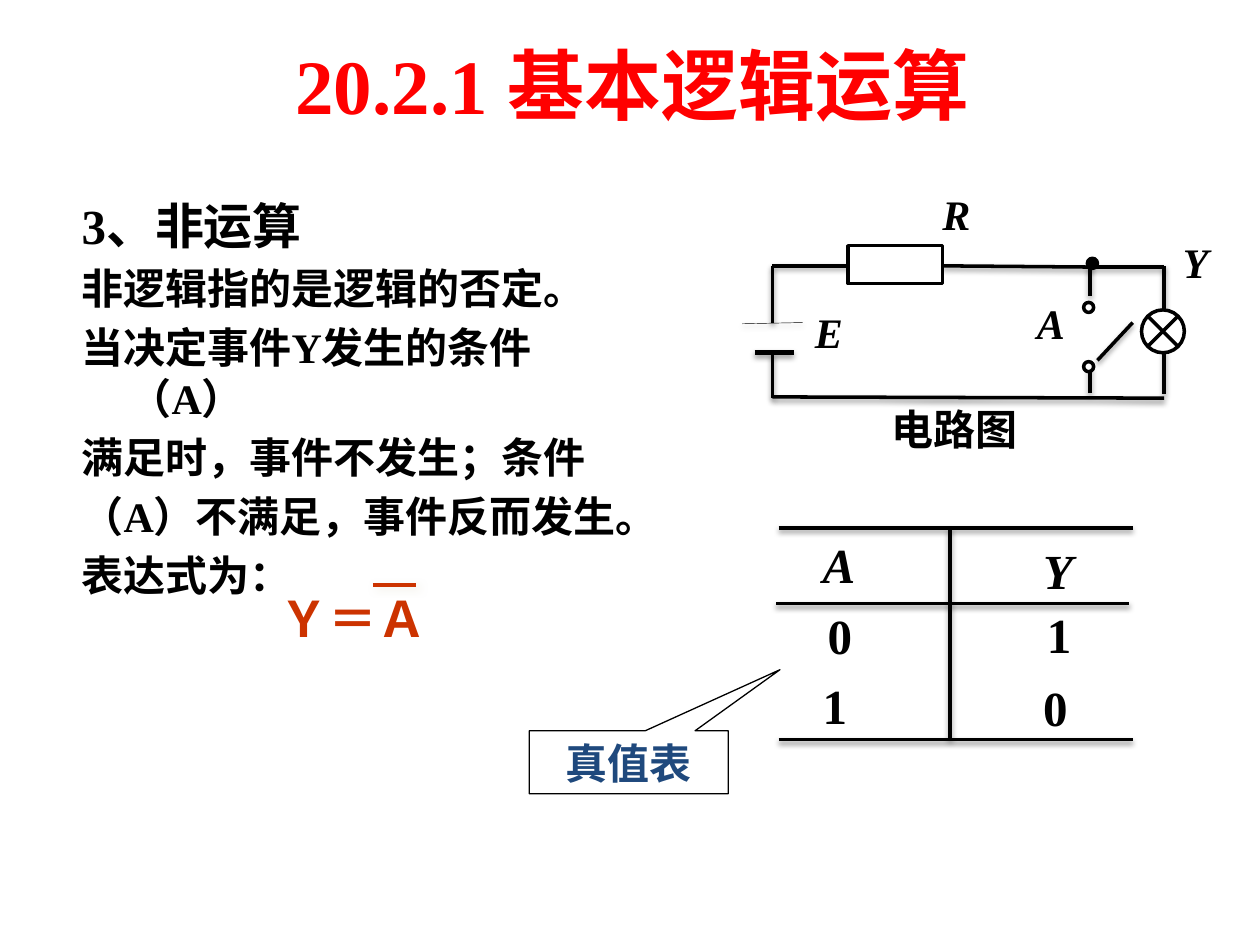
from lxml import etree
from pptx import Presentation
from pptx.dml.color import RGBColor
from pptx.enum import shapes, text
from pptx.oxml.ns import qn
from pptx.util import Inches, Pt

SERIF = "Times New Roman"
BLACK, WHITE, RUST = "000000", "FFFFFF", "CC3300"
LINE_SHADOW = (BLACK, 38, 3.1, 1.6, 90)
OVERLINE_SHADOW = ("EEECE1", 75, 5, 3, 45)

TITLE = "20.2.1 基本逻辑运算"
EXPLANATION = [
    ("3、非运算", 28),
    ("非逻辑指的是逻辑的否定。", 24),
    ("当决定事件Y发生的条件（A）", 24),
    ("满足时，事件不发生；条件", 24),
    ("（A）不满足，事件反而发生。", 24),
    ("表达式为：", 24),
]
WIRES = [
    (9.24, 2.11, 9.24, 2.46),
    (9.24, 2.78, 9.24, 3.13),
    (8.71, 2.86, 8.99, 2.56),
    (7.48, 2.11, 8.68, 2.12),
    (8.63, 2.12, 9.24, 2.12),
    (6.13, 3.15, 9.24, 3.16),
    (6.13, 2.11, 6.13, 2.56),
    (6.13, 2.81, 6.13, 3.16),
    (6.13, 2.11, 6.74, 2.11),
    (8.65, 2.35, 8.65, 2.13),
    (8.65, 3.12, 8.65, 2.91),
]
BATTERY_PLATES = [((5.89, 2.57, 6.37, 2.56), 0.25), ((5.99, 2.8, 6.3, 2.8), 3)]
CIRCUIT_PARTS = [
    ("OVAL", (8.6, 2.87, 0.08, 0.08), WHITE),
    ("OVAL", (8.6, 2.4, 0.08, 0.08), WHITE),
    ("OVAL", (8.63, 2.05, 0.08, 0.08), BLACK),
    ("FLOWCHART_SUMMING_JUNCTION", (9.06, 2.46, 0.34, 0.34), WHITE),
    ("RECTANGLE", (6.73, 1.95, 0.75, 0.3), WHITE),
]
CIRCUIT_LABELS = [
    ("A", 8.13, 2.31, 0.41, True),
    ("E", 6.37, 2.38, 0.54, True),
    ("R", 7.38, 1.45, 0.41, True),
    ("Y", 9.29, 1.83, 0.41, True),
    ("电路图", 6.98, 3.15, 1.55, False),
]
TRUTH_RULES = [
    (6.18, 4.19, 8.99, 4.19),
    (6.16, 4.79, 8.96, 4.79),
    (6.18, 5.87, 8.99, 5.87),
    (7.54, 4.19, 7.54, 5.87),
]
TRUTH_ENTRIES = [
    ("A", 6.43, 4.19, 0.41, True),
    ("Y", 8.18, 4.24, 0.5, True),
    ("0", 6.47, 4.76, 0.41, False),
    ("1", 8.21, 4.75, 0.5, False),
    ("1", 6.43, 5.31, 0.41, False),
    ("0", 8.18, 5.33, 0.5, False),
]


def rgb(color):
    return RGBColor.from_string(color)


def style(paragraph, size, color=BLACK, font=SERIF, italic=False, centred=False):
    if centred:
        paragraph.alignment = text.PP_ALIGN.CENTER
    for run in paragraph.runs:
        run.font.name, run.font.size = font, Pt(size)
        run.font.bold, run.font.italic = True, italic
        run.font.color.rgb = rgb(color)


def add_label(slide, words, box, size, **look):
    label = slide.shapes.add_textbox(*map(Inches, box))
    label.text_frame.word_wrap = True
    label.text_frame.text = words
    style(label.text_frame.paragraphs[0], size, **look)
    return label.text_frame


def add_line(slide, ends, width=2, color=BLACK, shadow=LINE_SHADOW):
    line = slide.shapes.add_connector(shapes.MSO_CONNECTOR.STRAIGHT, *map(Inches, ends))
    line.line.width = Pt(width)
    line.line.color.rgb = rgb(color)
    tint, opacity, blur, distance, angle = shadow
    effects = etree.SubElement(line._element.spPr, qn("a:effectLst"))
    outer = etree.SubElement(
        effects, qn("a:outerShdw"), blurRad=str(Pt(blur)), dist=str(Pt(distance)),
        dir=str(angle * 60000), algn="ctr", rotWithShape="0")
    shade = etree.SubElement(outer, qn("a:srgbClr"), val=tint)
    etree.SubElement(shade, qn("a:alpha"), val=str(opacity * 1000))


def add_part(slide, kind, box, fill, width=2):
    part = slide.shapes.add_shape(shapes.MSO_SHAPE[kind], *map(Inches, box))
    part.shadow.inherit = False
    part.fill.solid()
    part.fill.fore_color.rgb = rgb(fill)
    part.line.color.rgb = rgb(BLACK)
    part.line.width = Pt(width)
    return part


def add_explanation(slide):
    frame = add_label(slide, "\n".join(words for words, _ in EXPLANATION),
                      (0.55, 1.5, 4.5, 4.92), 24)
    for index, (paragraph, (_, size)) in enumerate(zip(frame.paragraphs, EXPLANATION)):
        indent = paragraph._p.get_or_add_pPr()
        indent.set("marL", str(Inches(0.38)))
        indent.set("indent", str(Inches(-0.38)))
        paragraph.space_before = Pt(5 if index else 0)
        style(paragraph, size)
    formula = add_label(slide, "Ｙ＝Ａ", (2.09, 4.62, 1.42, 0.57), 28, color=RUST, centred=True)
    formula.margin_left = formula.margin_right = 0
    add_line(slide, (2.96, 4.64, 3.3, 4.64), 2.25, RUST, OVERLINE_SHADOW)


def add_circuit(slide):
    for ends in WIRES:
        add_line(slide, ends)
    for ends, width in BATTERY_PLATES:
        add_line(slide, ends, width)
    for kind, box, fill in CIRCUIT_PARTS:
        add_part(slide, kind, box, fill)
    for words, left, top, width, italic in CIRCUIT_LABELS:
        add_label(slide, words, (left, top, width, 0.5), 24, italic=italic)


def add_truth_table(slide):
    for ends in TRUTH_RULES:
        add_line(slide, ends)
    for words, left, top, width, italic in TRUTH_ENTRIES:
        add_label(slide, words, (left, top, width, 0.57), 28, italic=italic)
    callout = add_part(slide, "RECTANGULAR_CALLOUT", (4.2, 5.8, 1.58, 0.5), WHITE, 0.75)
    callout.adjustments[0], callout.adjustments[1] = 0.76, -1.47
    callout.text_frame.text = "真值表"
    callout.text_frame.vertical_anchor = text.MSO_ANCHOR.MIDDLE
    style(callout.text_frame.paragraphs[0], 24, "1F497D", "Arial", centred=True)


def main():
    deck = Presentation()
    deck.slide_width, deck.slide_height = Inches(10), Inches(7.5)
    slide = deck.slides.add_slide(deck.slide_layouts[6])
    add_label(slide, TITLE, (0.35, 0.25, 9.34, 1.25), 44, color="FF0000", centred=True)
    add_explanation(slide)
    add_circuit(slide)
    add_truth_table(slide)
    deck.save("out.pptx")


if __name__ == "__main__":
    main()
